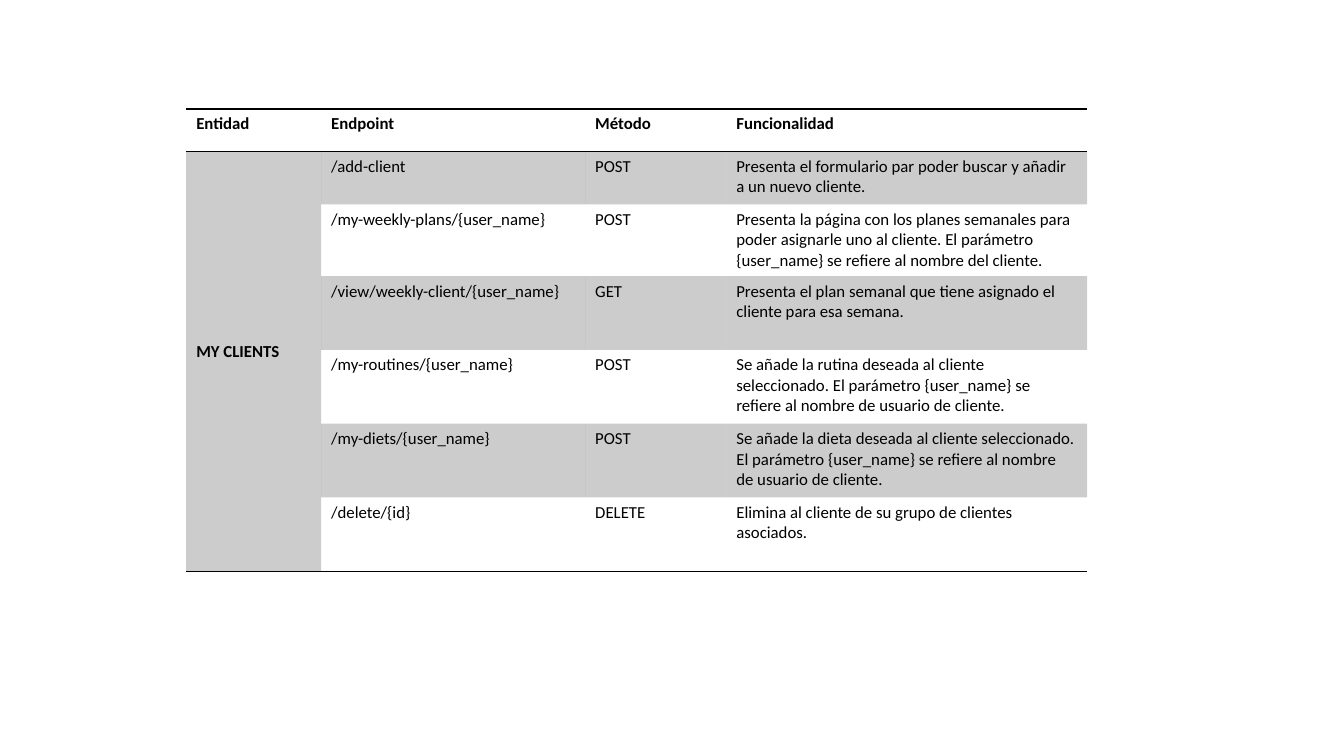
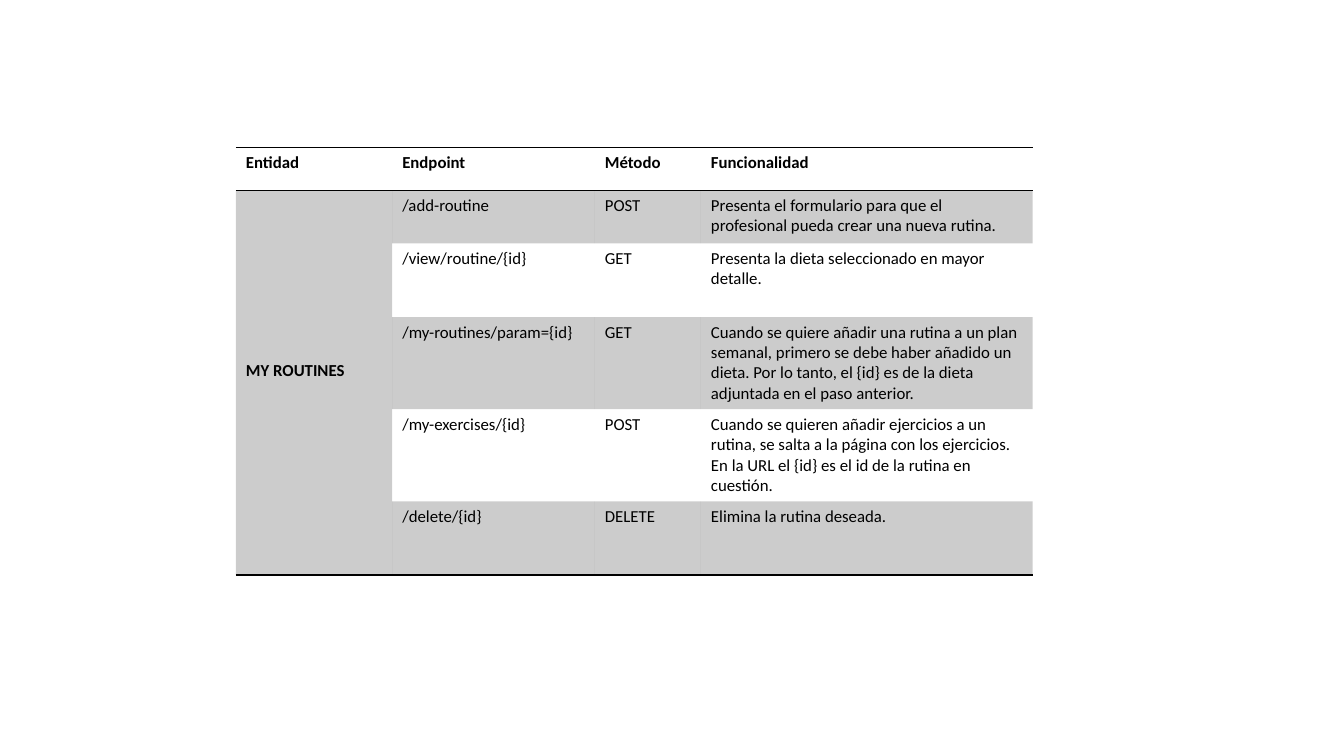
from lxml.etree import SubElement
from pptx import Presentation
from pptx.dml.color import RGBColor
from pptx.enum.text import MSO_ANCHOR
from pptx.oxml.ns import qn
from pptx.util import Pt

COLORS = {"ink": "000000"}
FONT = {"name": "Calibri", "size": Pt(12)}
HEAD = ["Entidad", "Endpoint", "Método", "Funcionalidad"]
PLAIN = "{2D5ABB26-0587-4C30-8999-92F81FD0307C}"  # no style, no grid
SHADE = 20  # opacity of the bands, in percent

# Row heights by role
HEADER, TWO, THREE, TALL, FOUR = 30.4, 37.8, 51.2, 52.7, 65.8

# Height, endpoint, method, purpose
CLIENTS = [
    (TWO, "/add-client", "POST",
     "Presenta el formulario par poder buscar y añadir a un nuevo cliente."),
    (THREE, "/my-weekly-plans/{user_name}", "POST",
     "Presenta la página con los planes semanales para poder asignarle uno al "
     "cliente. El parámetro {user_name} se refiere al nombre del cliente."),
    (TALL, "/view/weekly-client/{user_name}", "GET",
     "Presenta el plan semanal que tiene asignado el cliente para esa semana."),
    (TALL, "/my-routines/{user_name}", "POST",
     "Se añade la rutina deseada al cliente seleccionado. El parámetro "
     "{user_name} se refiere al nombre de usuario de cliente."),
    (TALL, "/my-diets/{user_name}", "POST",
     "Se añade la dieta deseada al cliente seleccionado. El parámetro "
     "{user_name} se refiere al nombre de usuario de cliente."),
    (TALL, "/delete/{id}", "DELETE",
     "Elimina al cliente de su grupo de clientes asociados."),
]
ROUTINES = [
    (TWO, "/add-routine", "POST",
     "Presenta el formulario para que el profesional pueda crear una nueva rutina."),
    (TALL, "/view/routine/{id}", "GET",
     "Presenta la dieta seleccionado en mayor detalle."),
    (FOUR, "/my-routines/param={id}", "GET",
     "Cuando se quiere añadir una rutina a un plan semanal, primero se debe haber "
     "añadido un dieta. Por lo tanto, el {id} es de la dieta adjuntada en el paso "
     "anterior."),
    (FOUR, "/my-exercises/{id}", "POST",
     "Cuando se quieren añadir ejercicios a un rutina, se salta a la página con los "
     "ejercicios. En la URL el {id} es el id de la rutina en cuestión."),
    (TALL, "/delete/{id}", "DELETE", "Elimina la rutina deseada."),
]


def rule(cell, *sides):
    """Draw a 1 pt line on the given sides (T before B)."""
    for side in sides:
        line = SubElement(cell._tc.get_or_add_tcPr(), qn(f"a:ln{side}"), w=str(Pt(1)))
        fill = SubElement(line, qn("a:solidFill"))
        SubElement(fill, qn("a:srgbClr"), val=COLORS["ink"])


def shade(cell, dark):
    """Fill a band cell, or leave it clear."""
    if not dark:
        cell.fill.background()
        return
    cell.fill.solid()
    cell.fill.fore_color.rgb = RGBColor.from_string(COLORS["ink"])
    tint = cell._tc.tcPr.find(qn("a:solidFill")).find(qn("a:srgbClr"))
    SubElement(tint, qn("a:alpha"), val=str(SHADE * 1000))


def write(cell, text, bold):
    cell.text = text
    font = cell.text_frame.paragraphs[0].runs[0].font
    for key, value in {**FONT, "bold": bold}.items():
        setattr(font, key, value)
    font.color.rgb = RGBColor.from_string(COLORS["ink"])


def add_grid(slide, left, top, widths, entity, rows, lift):
    """Endpoint table of one entity; lift is the bottom margin of its label."""
    heights = [HEADER] + [row[0] for row in rows]
    last = len(rows)
    frame = slide.shapes.add_table(last + 1, len(HEAD), Pt(left), Pt(top),
                                   Pt(sum(widths)), Pt(sum(heights)))
    table = frame.table
    table.first_row = table.horz_banding = False
    table._tbl.tblPr.find(qn("a:tableStyleId")).text = PLAIN
    for col, width in zip(table.columns, widths):
        col.width = Pt(width)
    for row, height in zip(table.rows, heights):
        row.height = Pt(height)

    # Rules around the header and under the last row
    for c in range(len(HEAD)):
        rule(table.cell(0, c), "T", "B")
        rule(table.cell(last, c), "B")

    # Header and banded rows
    for c, text in enumerate(HEAD):
        write(table.cell(0, c), text, True)
        shade(table.cell(0, c), False)
    for r, (_, *texts) in enumerate(rows, 1):
        for c, text in enumerate(texts, 1):
            write(table.cell(r, c), text, False)
            shade(table.cell(r, c), r % 2 == 1)

    # Entity label, one cell down the whole side
    label = table.cell(1, 0)
    label.merge(table.cell(last, 0))
    rule(label, "B")
    shade(label, True)
    write(label, entity, True)
    label.vertical_anchor = MSO_ANCHOR.MIDDLE
    label.margin_bottom = Pt(lift)


def main():
    deck = Presentation()
    deck.slide_width, deck.slide_height = Pt(960), Pt(540)
    grids = [
        (133, 77.8, (96.4, 188.6, 100.8, 257.8), "MY CLIENTS", CLIENTS, 17),
        (168.5, 105.6, (111.7, 144.7, 75.8, 237), "MY ROUTINES", ROUTINES, 21),
    ]
    for grid in grids:
        add_grid(deck.slides.add_slide(deck.slide_layouts[6]), *grid)
    deck.save("out.pptx")


if __name__ == "__main__":
    main()
